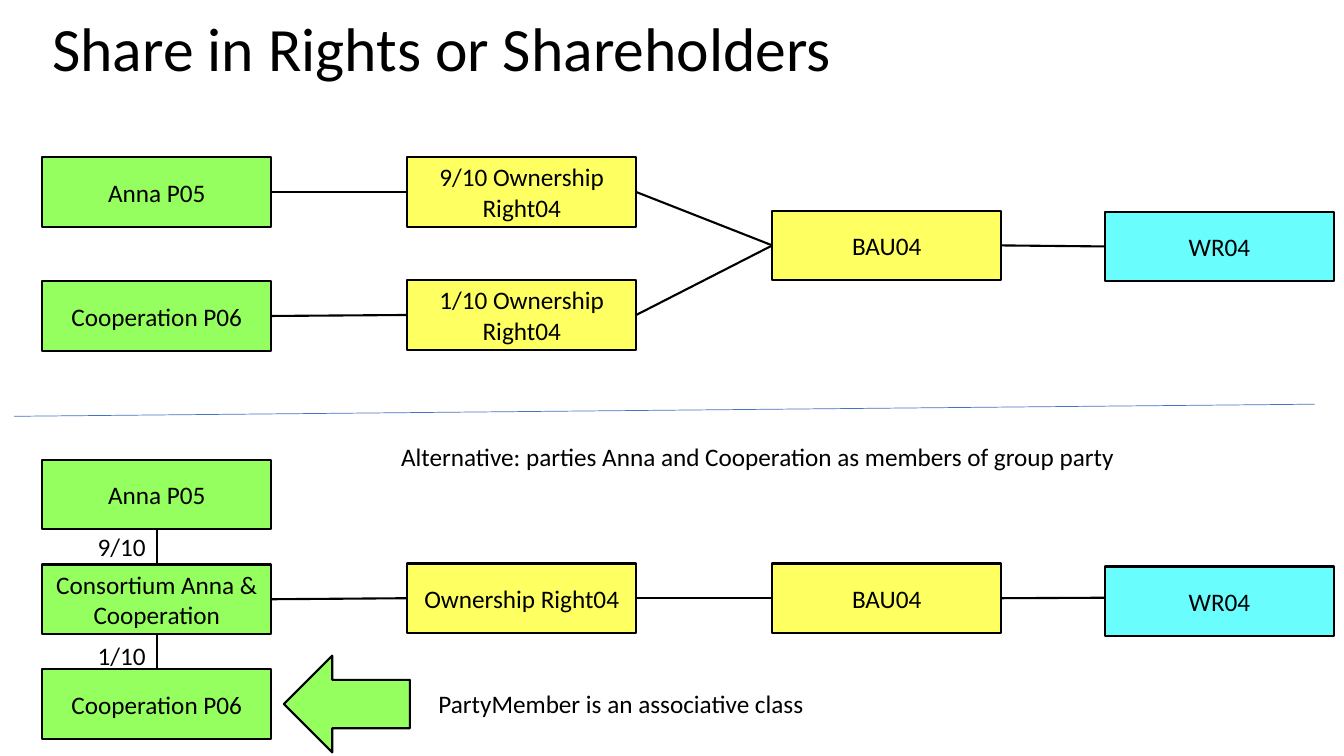
from dataclasses import dataclass

from lxml.etree import SubElement
from pptx import Presentation
from pptx.dml.color import RGBColor
from pptx.enum.shapes import MSO_CONNECTOR, MSO_SHAPE
from pptx.enum.text import MSO_ANCHOR, MSO_AUTO_SIZE, PP_ALIGN
from pptx.oxml.ns import qn
from pptx.util import Emu, Pt


@dataclass(frozen=True)
class Theme:
    party: str = "95FF60"
    right: str = "FEFF60"
    spatial: str = "69FDFD"
    ink: str = "000000"
    divider: str = "4472C4"
    font: str = "Calibri"
    title_size: int = 44
    body_size: int = 18
    line_width: float = 1.5
    divider_width: float = 0.5


THEME = Theme()
PX = 9144  # EMU per px, 100 px to the inch
SLIDE_SIZE = (1333, 750)
BOX_SIZE = (227, 69)
TOP, LEFT, BOTTOM, RIGHT = range(4)

# column: left edge, fill
COLUMNS = {
    "party": (42, THEME.party),
    "right": (404, THEME.right),
    "unit": (766, THEME.right),
    "spatial": (1096, THEME.spatial),
}
# name: column, top, text
BOXES = {
    "anna": ("party", 156, "Anna P05"),
    "cooperation": ("party", 279, "Cooperation P06"),
    "nine_tenths": ("right", 156, "9/10 Ownership Right04"),
    "one_tenth": ("right", 278, "1/10 Ownership Right04"),
    "shared_unit": ("unit", 209, "BAU04"),
    "shared_spatial": ("spatial", 210, "WR04"),
    "member_anna": ("party", 456, "Anna P05"),
    "consortium": ("party", 560, "Consortium Anna & Cooperation"),
    "member_cooperation": ("party", 664, "Cooperation P06"),
    "group_right": ("right", 559, "Ownership Right04"),
    "group_unit": ("unit", 559, "BAU04"),
    "group_spatial": ("spatial", 562, "WR04"),
}
# start box, its side, end box, its side
LINKS = [
    ("anna", RIGHT, "nine_tenths", LEFT),
    ("cooperation", RIGHT, "one_tenth", LEFT),
    ("nine_tenths", RIGHT, "shared_unit", LEFT),
    ("one_tenth", RIGHT, "shared_unit", LEFT),
    ("shared_unit", RIGHT, "shared_spatial", LEFT),
    ("member_anna", BOTTOM, "consortium", TOP),
    ("consortium", BOTTOM, "member_cooperation", TOP),
    ("consortium", RIGHT, "group_right", LEFT),
    ("group_right", RIGHT, "group_unit", LEFT),
]
LEVEL_LINK = ("group_unit", (1096, 593))
DIVIDER = ((14, 413), (1304, 401))
ARROW = (296, 636, 96, 125)
TITLE = ("Share in Rights or Shareholders", (42, 13, 1281, 145))
# text, frame, wrap
LABELS = [
    ("9/10", (87, 522, 68, 40), False),
    ("1/10", (87, 630, 68, 40), False),
    ("PartyMember is an associative class", (425, 678, 412, 40), True),
    ("Alternative: parties Anna and Cooperation as members of group party",
     (388, 433, 733, 40), True),
]


def emu(lengths):
    return [Emu(length * PX) for length in lengths]


def write(shape, text, size=THEME.body_size, paragraph_format=None, **frame_format):
    frame = shape.text_frame
    for name, value in frame_format.items():
        setattr(frame, name, value)
    paragraph = frame.paragraphs[0]
    for name, value in (paragraph_format or {}).items():
        setattr(paragraph, name, value)
    run = paragraph.add_run()
    run.text = text
    for name, value in {"name": THEME.font, "size": Pt(size)}.items():
        setattr(run.font, name, value)
    run.font.color.rgb = RGBColor.from_string(THEME.ink)


def set_line(line, color=THEME.ink, width=THEME.line_width):
    line.color.rgb = RGBColor.from_string(color)
    line.width = Pt(width)


def add_filled(slide, preset, frame, fill):
    shape = slide.shapes.add_shape(preset, *emu(frame))
    shape.shadow.inherit = False
    shape.fill.solid()
    shape.fill.fore_color.rgb = RGBColor.from_string(fill)
    set_line(shape.line)
    return shape


def add_line(slide, start=(0, 0), end=(0, 0), **line_format):
    connector = slide.shapes.add_connector(MSO_CONNECTOR.STRAIGHT, *emu(start + end))
    set_line(connector.line, **line_format)
    SubElement(connector._element.spPr, qn("a:effectLst"))
    return connector


def add_label(slide, text, frame, **formats):
    write(slide.shapes.add_textbox(*emu(frame)), text, **formats)


def main():
    presentation = Presentation()
    presentation.slide_width, presentation.slide_height = emu(SLIDE_SIZE)
    slide = presentation.slides.add_slide(presentation.slide_layouts[6])

    add_label(slide, *TITLE, size=THEME.title_size, word_wrap=True,
              paragraph_format={"line_spacing": 0.9})

    boxes = {}
    for name, (column, top, text) in BOXES.items():
        left, fill = COLUMNS[column]
        boxes[name] = add_filled(slide, MSO_SHAPE.RECTANGLE, (left, top, *BOX_SIZE), fill)
        write(boxes[name], text, word_wrap=True, vertical_anchor=MSO_ANCHOR.MIDDLE,
              paragraph_format={"alignment": PP_ALIGN.CENTER})

    for start, start_side, end, end_side in LINKS:
        connector = add_line(slide)
        connector.begin_connect(boxes[start], start_side)
        connector.end_connect(boxes[end], end_side)
    start, end_point = LEVEL_LINK
    add_line(slide, end_point, end_point).begin_connect(boxes[start], RIGHT)

    add_line(slide, *DIVIDER, color=THEME.divider, width=THEME.divider_width)
    add_filled(slide, MSO_SHAPE.DOWN_ARROW, ARROW, THEME.party).rotation = 90
    for text, frame, wrap in LABELS:
        add_label(slide, text, frame, word_wrap=wrap,
                  auto_size=MSO_AUTO_SIZE.SHAPE_TO_FIT_TEXT)

    presentation.save("out.pptx")


if __name__ == "__main__":
    main()
